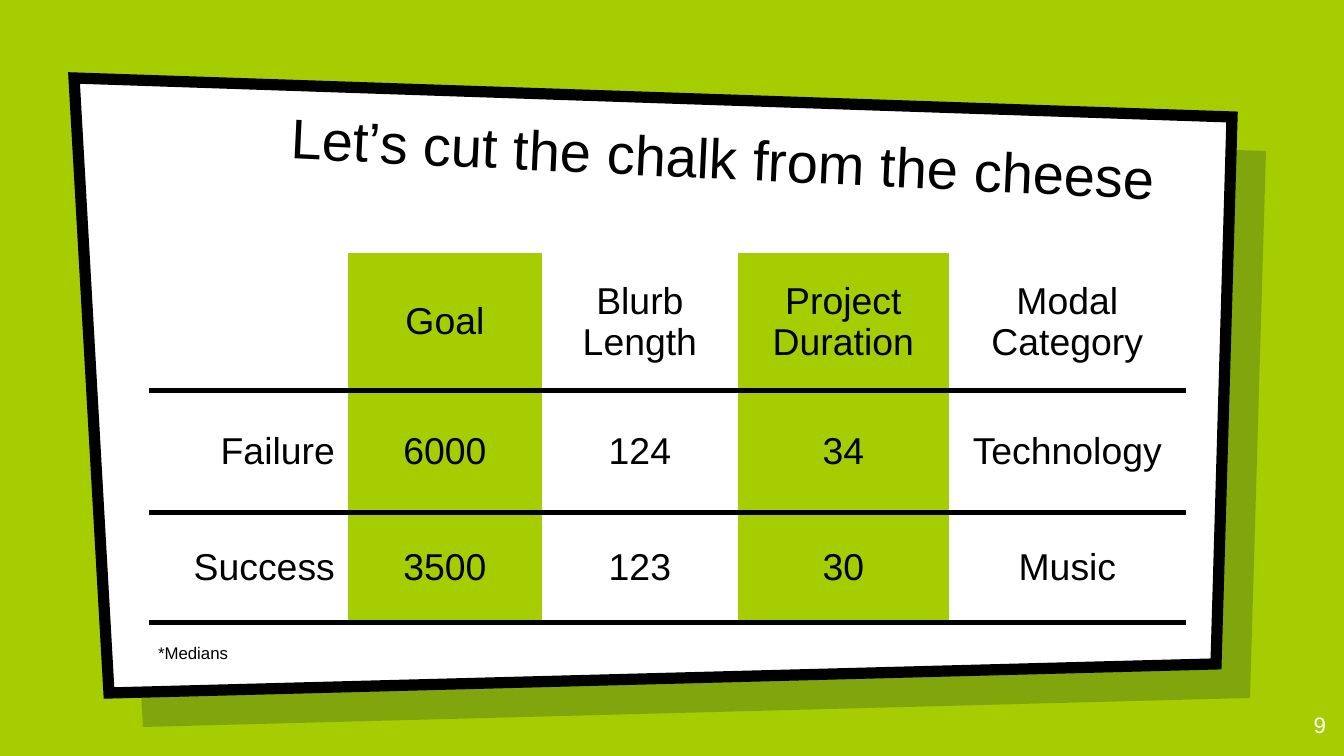
"""Build the slide comparing failed and successful projects in a table."""
from lxml import etree
from pptx import Presentation
from pptx.dml.color import RGBColor
from pptx.enum.text import MSO_ANCHOR, MSO_AUTO_SIZE, PP_ALIGN
from pptx.oxml.ns import qn
from pptx.util import Emu, Pt

LEFT, CENTER, RIGHT = PP_ALIGN.LEFT, PP_ALIGN.CENTER, PP_ALIGN.RIGHT
TOP, MIDDLE, BOTTOM = MSO_ANCHOR.TOP, MSO_ANCHOR.MIDDLE, MSO_ANCHOR.BOTTOM
NO_AUTOFIT = MSO_AUTO_SIZE.NONE

LIME = RGBColor(0xA6, 0xCD, 0x02)
NAVY = RGBColor(0x00, 0x19, 0x36)
WHITE = RGBColor(0xFF, 0xFF, 0xFF)
BLACK = RGBColor(0x00, 0x00, 0x00)
FONT = "Arial"

TITLE = "Let’s cut the chalk from the cheese"
FOOTNOTE = "*Medians"
PAGE_NUMBER = "9"
ROWS = [
    ("", "Goal", "Blurb Length", "Project Duration", "Modal Category"),
    ("Failure", "6000", "124", "34", "Technology"),
    ("Success", "3500", "123", "30", "Music"),
]
COLUMN_WIDTHS = (199, 194, 196, 211, 237)
ROW_HEIGHTS = (138, 122, 110)
HIGHLIGHTED_COLUMNS = (1, 3)
TABLE_LEFT, TABLE_TOP = 149, 253

PANEL_CORNERS = [(74, 78), (1232, 117), (1216, 664), (109, 693)]
SHADOW_OFFSET = 34
INSET, CELL_INSET = 13, 9
RULE_WIDTH = Pt(3)


def px(length):
    return Emu(round(length * 914400 / 134.4))


def add_panel(slide, offset, color, depth):
    corners = [(x + offset, y + offset) for x, y in PANEL_CORNERS]
    builder = slide.shapes.build_freeform(*corners[0], scale=914400 / 134.4)
    builder.add_line_segments(corners[1:], close=True)
    panel = builder.convert_to_shape()
    panel.shadow.inherit = False
    panel.fill.solid()
    panel.fill.fore_color.rgb = color
    panel.line.fill.background()
    slide.shapes._spTree.insert(2 + depth, panel._element)
    return panel


def write(frame, text, size, color, align):
    frame.text = text
    paragraph = frame.paragraphs[0]
    paragraph.alignment = align
    paragraph.space_before = Pt(0)
    paragraph.font.size = Pt(size)
    paragraph.font.name = FONT
    paragraph.font.color.rgb = color


def fill_box(box, bounds, text, size, color, align, anchor):
    box.left, box.top, box.width, box.height = map(px, bounds)
    frame = box.text_frame
    frame.word_wrap = True
    frame.auto_size = NO_AUTOFIT
    frame.vertical_anchor = anchor
    frame.margin_left = frame.margin_right = px(INSET)
    frame.margin_top = frame.margin_bottom = px(INSET)
    write(frame, text, size, color, align)


def set_borders(cell, ruled_sides):
    properties = cell._tc.get_or_add_tcPr()
    for position, side in enumerate(("lnL", "lnR", "lnT", "lnB")):
        border = etree.Element(qn(f"a:{side}"), w=str(RULE_WIDTH))
        if side in ruled_sides:
            paint = etree.SubElement(border, qn("a:solidFill"))
            etree.SubElement(paint, qn("a:srgbClr"), val=str(BLACK))
        else:
            etree.SubElement(border, qn("a:noFill"))
        properties.insert(position, border)


def add_comparison(slide):
    table = slide.shapes.add_table(
        len(ROWS), len(COLUMN_WIDTHS), px(TABLE_LEFT), px(TABLE_TOP),
        px(sum(COLUMN_WIDTHS)), px(sum(ROW_HEIGHTS))).table
    table.first_row = table.horz_banding = False
    for column, width in zip(table.columns, COLUMN_WIDTHS):
        column.width = px(width)
    for r, values in enumerate(ROWS):
        table.rows[r].height = px(ROW_HEIGHTS[r])
        for c, value in enumerate(values):
            cell = table.cell(r, c)
            cell.vertical_anchor = MIDDLE
            cell.margin_left = cell.margin_right = px(INSET)
            cell.margin_top = cell.margin_bottom = px(CELL_INSET)
            write(cell.text_frame, value, 20, BLACK, CENTER if c else RIGHT)
            if c in HIGHLIGHTED_COLUMNS:
                cell.fill.solid()
                cell.fill.fore_color.rgb = LIME
            else:
                cell.fill.background()
            set_borders(cell, ("lnT", "lnB") if r else ("lnB",))


def main():
    deck = Presentation()
    deck.slide_width, deck.slide_height = px(1344), px(756)
    slide = deck.slides.add_slide(deck.slide_layouts[0])
    slide.background.fill.solid()
    slide.background.fill.fore_color.rgb = LIME

    shade = add_panel(slide, SHADOW_OFFSET, NAVY, 0)
    shade_color = shade._element.spPr.find(qn("a:solidFill"))[0]
    etree.SubElement(shade_color, qn("a:alpha"), val="22000")
    board = add_panel(slide, 0, WHITE, 1)
    board.line.color.rgb = BLACK
    board.line.width = Pt(6)
    etree.SubElement(board.line._ln, qn("a:miter"), lim="800000")

    title, footnote = slide.shapes.title, slide.placeholders[1]
    fill_box(title, (278, 95, 1034, 112), TITLE, 30, BLACK, LEFT, BOTTOM)
    title.rotation = 2.7
    add_comparison(slide)
    fill_box(footnote, (145, 630, 196, 69), FOOTNOTE, 9, BLACK, LEFT, TOP)
    page_number = slide.shapes.add_textbox(0, 0, 0, 0)
    fill_box(page_number, (1258, 698, 81, 58), PAGE_NUMBER, 12, WHITE, RIGHT, TOP)
    deck.save("out.pptx")


if __name__ == "__main__":
    main()
